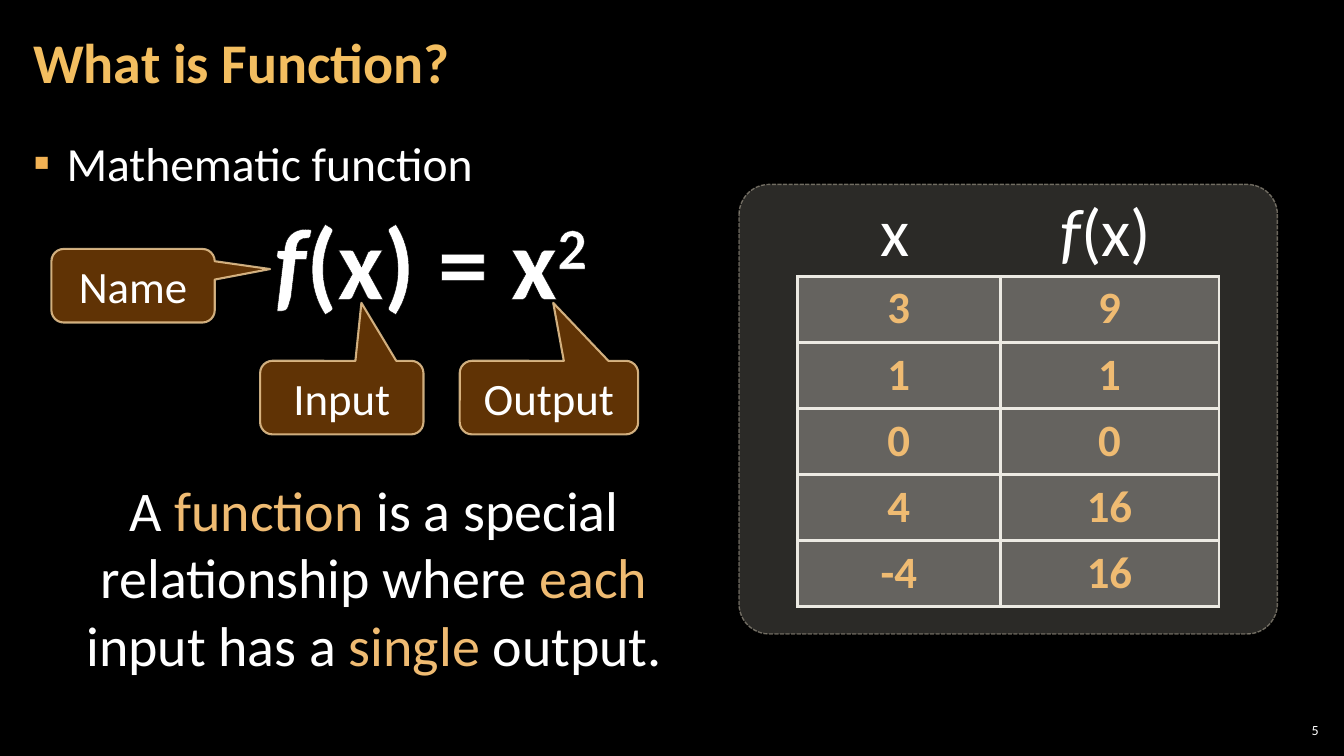
from pptx import Presentation
from pptx import util as u
from pptx.dml.color import RGBColor
from pptx.enum import dml, shapes, text
from pptx.oxml import parse_xml
from pptx.oxml.ns import nsdecls, qn

FONT = "Calibri"
WHITE, GOLD, BLACK = "FFFFFF", "EFBB72", "000000"
CREAM = "ECEAE3"
CENTER = text.PP_ALIGN.CENTER
MIDDLE = text.MSO_ANCHOR.MIDDLE


def rgb(value):
    return RGBColor.from_string(value)


def box(*lengths):
    return [u.Inches(length) for length in lengths]


def set_opacity(element, percent):
    for color in element.iter(qn("a:srgbClr")):
        color.append(parse_xml(f'<a:alpha {nsdecls("a")} val="{percent * 1000}"/>'))


def outline_xml(tag, color, points):
    return parse_xml(
        f'<a:{tag} {nsdecls("a")} w="{u.Pt(points)}"><a:solidFill>'
        f'<a:srgbClr val="{color}"/></a:solidFill></a:{tag}>')


def write(frame, runs, size, color=WHITE, bold=False, align=CENTER,
          anchor=None, margins=None, outline=None):
    """Fill a frame with runs: (wording, {color, italic, raised})."""
    frame.word_wrap = True
    if anchor is not None:
        frame.vertical_anchor = anchor
    if margins:
        (frame.margin_left, frame.margin_top,
         frame.margin_right, frame.margin_bottom) = box(*margins)
    paragraph = frame.paragraphs[0]
    paragraph.alignment = align
    for wording, changes in runs:
        run = paragraph.add_run()
        run.text = wording
        font = run.font
        font.name, font.size, font.bold = FONT, u.Pt(size), bold
        font.italic = changes.get("italic", False)
        font.color.rgb = rgb(changes.get("color", color))
        properties = run._r.get_or_add_rPr()
        if "raised" in changes:
            properties.set("baseline", str(changes["raised"] * 1000))
        if outline:
            properties.insert(0, outline_xml("ln", *outline))
    return paragraph


def add_label(slide, place, runs, size, **style):
    frame = slide.shapes.add_textbox(*box(*place)).text_frame
    write(frame, runs, size, **style)
    return frame


def add_panel(slide, kind, place, adjustments, fill, line):
    """Add a shape; fill is (color, opacity), line (color, width, opacity)."""
    panel = slide.shapes.add_shape(kind, *box(*place))
    panel.shadow.inherit = False
    for index, value in enumerate(adjustments):
        panel.adjustments[index] = value
    panel.fill.solid()
    panel.fill.fore_color.rgb = rgb(fill[0])
    panel.line.color.rgb = rgb(line[0])
    panel.line.width = u.Pt(line[1])
    properties = panel._element.spPr
    set_opacity(properties.find(qn("a:solidFill")), fill[1])
    set_opacity(properties.find(qn("a:ln")), line[2])
    return panel


def add_callout(slide, wording, place, pointer):
    callout = add_panel(slide, shapes.MSO_SHAPE.ROUNDED_RECTANGULAR_CALLOUT, place,
                        (*pointer, 0.167), ("663606", 95), ("F8D49E", 1.5, 80))
    write(callout.text_frame, [(wording, {})], 32, anchor=MIDDLE)


def add_value_table(slide, values, place, widths):
    table = slide.shapes.add_table(len(values), len(widths), *box(*place)).table
    table.first_row = table.horz_banding = False
    for column, width in zip(table.columns, widths):
        column.width = u.Inches(width)
    for row, pair in enumerate(values):
        for column, value in enumerate(pair):
            cell = table.cell(row, column)
            cell.fill.solid()
            cell.fill.fore_color.rgb = rgb(CREAM)
            write(cell.text_frame, [(str(value), {})], 32, GOLD, bold=True)
            properties = cell._tc.tcPr
            set_opacity(properties, 30)
            for index, side in enumerate(("lnL", "lnR", "lnT", "lnB")):
                properties.insert(index, outline_xml(side, CREAM, 2.25))


def place_holder(holder, place):
    holder.left, holder.top, holder.width, holder.height = box(*place)
    return holder.text_frame


def add_heading(slide):
    frame = place_holder(slide.shapes.title, (0.21, 0.04, 10.47, 1.21))
    heading = write(frame, [("What is Function?", {})], 40, "F3BE60", bold=True,
                    align=text.PP_ALIGN.LEFT, anchor=MIDDLE,
                    margins=(0.12, 0.04, 0.12, 0.04))
    heading.line_spacing = 0.9


def add_topic(slide):
    frame = place_holder(slide.placeholders[1], (0.21, 1.26, 12.91, 6.09))
    topic = write(frame, [("Mathematic function", {})], 34,
                  align=text.PP_ALIGN.LEFT, margins=(0.12, 0.04, 0.12, 0.04))
    topic.line_spacing = 1.05
    topic.space_before = topic.space_after = u.Pt(6)
    properties = topic._p.get_or_add_pPr()
    properties.set("marL", str(u.Inches(0.33)))
    properties.set("indent", str(u.Inches(-0.33)))
    for bullet in ('buClr {}><a:srgbClr val="F2B254"/></a:buClr>',
                   'buFont {} typeface="Calibri"/>', 'buChar {} char="▪"/>'):
        properties.append(parse_xml("<a:" + bullet.format(nsdecls("a"))))


def main():
    deck = Presentation()
    deck.slide_width, deck.slide_height = box(13.33, 7.5)
    slide = deck.slides.add_slide(deck.slide_layouts[1])
    slide.background.fill.solid()
    slide.background.fill.fore_color.rgb = rgb(BLACK)

    add_label(slide, (12.65, 7.14, 0.47, 0.21), [("5", {})], 10,
              align=text.PP_ALIGN.RIGHT, anchor=MIDDLE, margins=(0.04,) * 4)
    add_topic(slide)
    add_heading(slide)

    # Formula and its named parts
    formula = add_label(slide, (2.58, 1.92, 3.38, 1.31),
                        [("f", {"italic": True}), ("(x) = x", {}), ("2", {"raised": 30})],
                        72, bold=True, outline=(BLACK, 0.75))
    formula.word_wrap = False
    add_callout(slide, "Name", (0.51, 2.47, 1.62, 0.73), (0.839, -0.226))
    add_callout(slide, "Input", (2.58, 3.58, 1.62, 0.73), (0.12, -1.289))
    add_callout(slide, "Output", (4.56, 3.58, 1.77, 0.73), (0.024, -1.289))

    # Table of values on its panel
    panel = add_panel(slide, shapes.MSO_SHAPE.ROUNDED_RECTANGLE, (7.33, 1.83, 5.34, 4.46),
                      (0.067,), ("D9D5C7", 20), ("C7BFAC", 1, 50))
    panel.line.dash_style = dml.MSO_LINE.SQUARE_DOT
    values = [(x, x ** 2) for x in (3, 1, 0, 4, -4)]
    add_value_table(slide, values, (7.91, 2.74, 4.18, 3.28), (2.01, 2.17))
    add_label(slide, (8.13, 1.83, 1.49, 0.91), [("x", {})], 48)
    add_label(slide, (10.16, 1.83, 1.62, 0.91), [("f", {"italic": True}), ("(x)", {})], 48)

    # Definition
    key = {"color": GOLD}
    add_label(slide, (0.59, 4.67, 6.24, 2.12),
              [("A ", {}), ("function", key), (" is a special relationship where ", {}),
               ("each", key), (" input has a ", {}), ("single", key), (" output.", {})], 40)

    deck.save("out.pptx")


if __name__ == "__main__":
    main()
